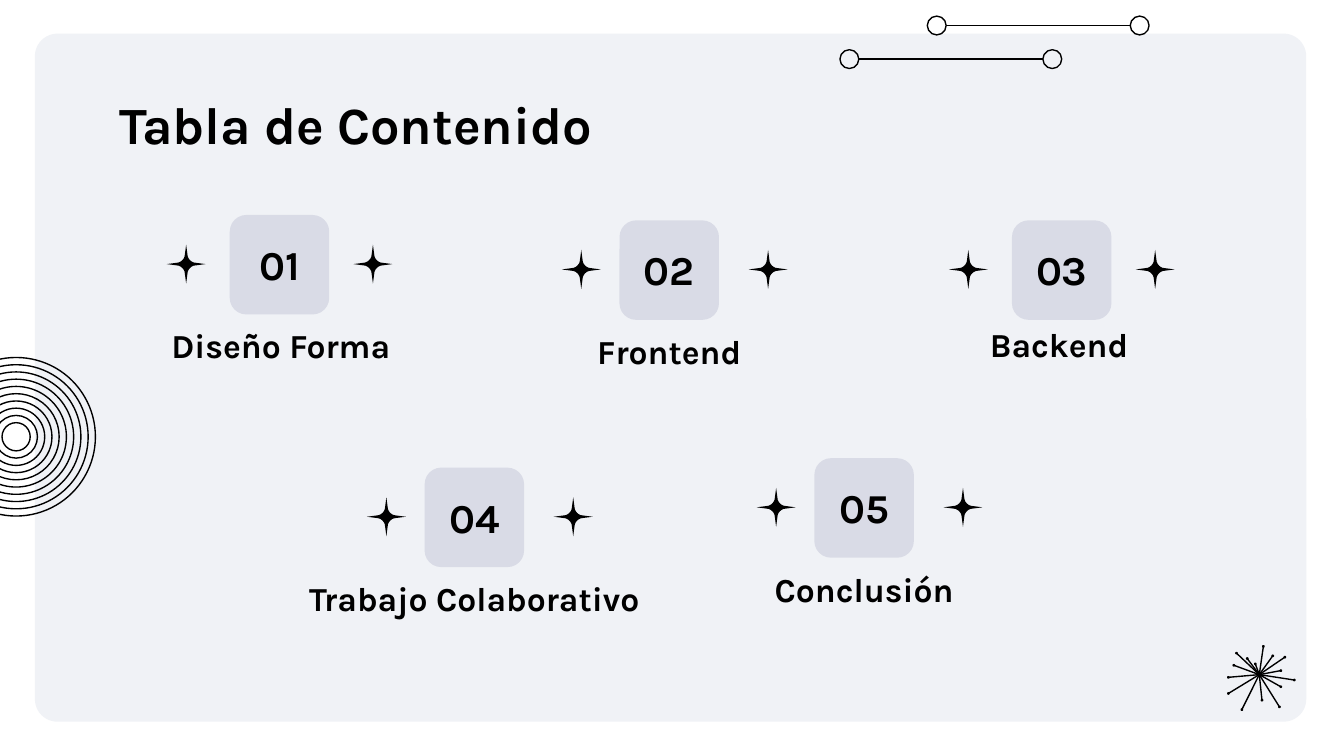
from pptx import Presentation
from pptx.dml.color import RGBColor
from pptx.enum.shapes import MSO_CONNECTOR, MSO_SHAPE
from pptx.enum.text import MSO_ANCHOR, PP_ALIGN
from pptx.oxml.ns import qn
from pptx.util import Inches, Pt
from lxml.etree import SubElement

BLACK = "000000"
PANEL = "F0F2F6"
TILE = "D9DBE6"
TILE_SIZE = 0.74
STAR_SIZE = 0.29
STAR_STEP = 1.39
RING_COUNT = 10
RING_CENTER = (0.12, 3.25)
BURST_CENTER = (9.37, 5.02)

# number, label, tile left and top, first star left, label left and top
TOPICS = [
    ("01", "Diseño Forma", 1.71, 1.60, 1.24, 0.64, 2.32),
    ("02", "Frontend", 4.61, 1.64, 4.18, 3.53, 2.36),
    ("03", "Backend", 7.53, 1.64, 7.06, 6.43, 2.31),
    ("04", "Trabajo Colaborativo", 3.16, 3.48, 2.73, 2.08, 4.20),
    ("05", "Conclusión", 6.06, 3.41, 5.63, 4.98, 4.13),
]

SPOKE_ENDS = [
    (9.40, 4.81), (9.14, 5.04), (9.14, 5.16), (9.52, 5.26), (9.24, 5.28),
    (9.39, 5.21), (9.53, 5.11), (9.63, 5.06), (9.53, 4.99), (9.56, 4.89),
    (9.47, 4.88), (9.34, 4.94), (9.28, 4.90), (9.20, 4.86), (9.18, 4.95),
]


def color(value):
    return RGBColor.from_string(value)


def paint(shape, fill=None, line=None):
    shape.shadow.inherit = False
    if fill:
        shape.fill.solid()
        shape.fill.fore_color.rgb = color(fill)
    else:
        shape.fill.background()
    if line:
        shape.line.color.rgb = color(line)
        shape.line.width = Pt(0.75)
    else:
        shape.line.fill.background()


def add_panel(slide, left, top, width, height, fill, rounding):
    shape = slide.shapes.add_shape(
        MSO_SHAPE.ROUNDED_RECTANGLE,
        Inches(left), Inches(top), Inches(width), Inches(height))
    shape.adjustments[0] = rounding
    paint(shape, fill)


def add_circle(slide, center, diameter, fill=None, line=None):
    left, top = (value - diameter / 2 for value in center)
    shape = slide.shapes.add_shape(
        MSO_SHAPE.OVAL,
        Inches(left), Inches(top), Inches(diameter), Inches(diameter))
    paint(shape, fill, line)


def add_line(slide, start, end):
    connector = slide.shapes.add_connector(
        MSO_CONNECTOR.STRAIGHT, *(Inches(value) for value in (*start, *end)))
    connector.line.color.rgb = color(BLACK)
    connector.line.width = Pt(0.75)
    SubElement(connector._element.spPr, qn("a:effectLst"))


def add_text(slide, text, left, top, width, height, size,
             align=PP_ALIGN.CENTER, anchor=MSO_ANCHOR.TOP):
    box = slide.shapes.add_textbox(
        Inches(left), Inches(top), Inches(width), Inches(height))
    frame = box.text_frame
    frame_format = {"word_wrap": True, "vertical_anchor": anchor}
    for side in ("left", "right", "top", "bottom"):
        frame_format[f"margin_{side}"] = Inches(0.1)
    for name, value in frame_format.items():
        setattr(frame, name, value)
    paragraph = frame.paragraphs[0]
    paragraph.alignment = align
    run = paragraph.add_run()
    run.text = text
    for name, value in {"name": "Karla", "size": Pt(size), "bold": True}.items():
        setattr(run.font, name, value)
    run.font.color.rgb = color(BLACK)


def star_outline():
    """Points around the origin: one curved quarter turned four times."""
    near, far, steps = 0.01, 0.07, 6
    controls = [(near, -far), (near, -0.04), (0.04, -near), (far, -near)]
    quarter = [(0, -STAR_SIZE / 2)]
    for step in range(steps + 1):
        t = step / steps
        weights = ((1 - t) ** 3, 3 * t * (1 - t) ** 2, 3 * t ** 2 * (1 - t), t ** 3)
        quarter.append(tuple(
            sum(weight * point[axis] for weight, point in zip(weights, controls))
            for axis in (0, 1)))
    points = []
    for _ in range(4):
        points += quarter
        quarter = [(-y, x) for x, y in quarter]
    return points


def add_star(slide, left, top):
    center_x, center_y = left + STAR_SIZE / 2, top + STAR_SIZE / 2
    points = [(Inches(center_x + x), Inches(center_y + y))
              for x, y in star_outline()]
    builder = slide.shapes.build_freeform(*points[0])
    builder.add_line_segments(points[1:], close=True)
    paint(builder.convert_to_shape(), BLACK)


def add_rings(slide):
    for index in range(RING_COUNT):
        add_circle(slide, RING_CENTER, 0.21 + 0.97 * index / (RING_COUNT - 1),
                   line=BLACK)


def add_dumbbell(slide, left, middle):
    diameter, length = 0.14, 1.37
    radius = diameter / 2
    right = left + diameter + length
    add_circle(slide, (left + radius, middle), diameter, line=BLACK)
    add_line(slide, (left + diameter, middle), (right, middle))
    add_circle(slide, (right + radius, middle), diameter, line=BLACK)


def add_burst(slide):
    for end in SPOKE_ENDS:
        add_line(slide, BURST_CENTER, end)
        add_circle(slide, end, 0.02, fill=BLACK)


def add_topic(slide, number, label, left, top, star_left, label_left, label_top):
    middle_top = top + 0.22
    add_panel(slide, left, top, TILE_SIZE, TILE_SIZE, TILE, 0.167)
    for star in (star_left, star_left + STAR_STEP):
        add_star(slide, star, middle_top)
    add_text(slide, number, left + 0.06, middle_top, 0.62, 0.29, 22,
             anchor=MSO_ANCHOR.MIDDLE)
    add_text(slide, label, label_left, label_top, 2.9, 0.48, 18)


def main():
    presentation = Presentation()
    presentation.slide_width = Inches(10)
    presentation.slide_height = Inches(10) * 9 // 16
    slide = presentation.slides.add_slide(presentation.slide_layouts[6])
    slide.background.fill.solid()
    slide.background.fill.fore_color.rgb = color("FFFFFF")

    add_panel(slide, 0.26, 0.25, 9.46, 5.12, PANEL, 0.033)
    add_rings(slide)
    add_dumbbell(slide, 6.25, 0.44)
    add_dumbbell(slide, 6.9, 0.19)
    add_burst(slide)
    add_text(slide, "Tabla de Contenido", 0.79, 0.59, 8.42, 0.63, 28,
             align=PP_ALIGN.LEFT)
    for topic in TOPICS:
        add_topic(slide, *topic)

    presentation.save("out.pptx")


if __name__ == "__main__":
    main()
